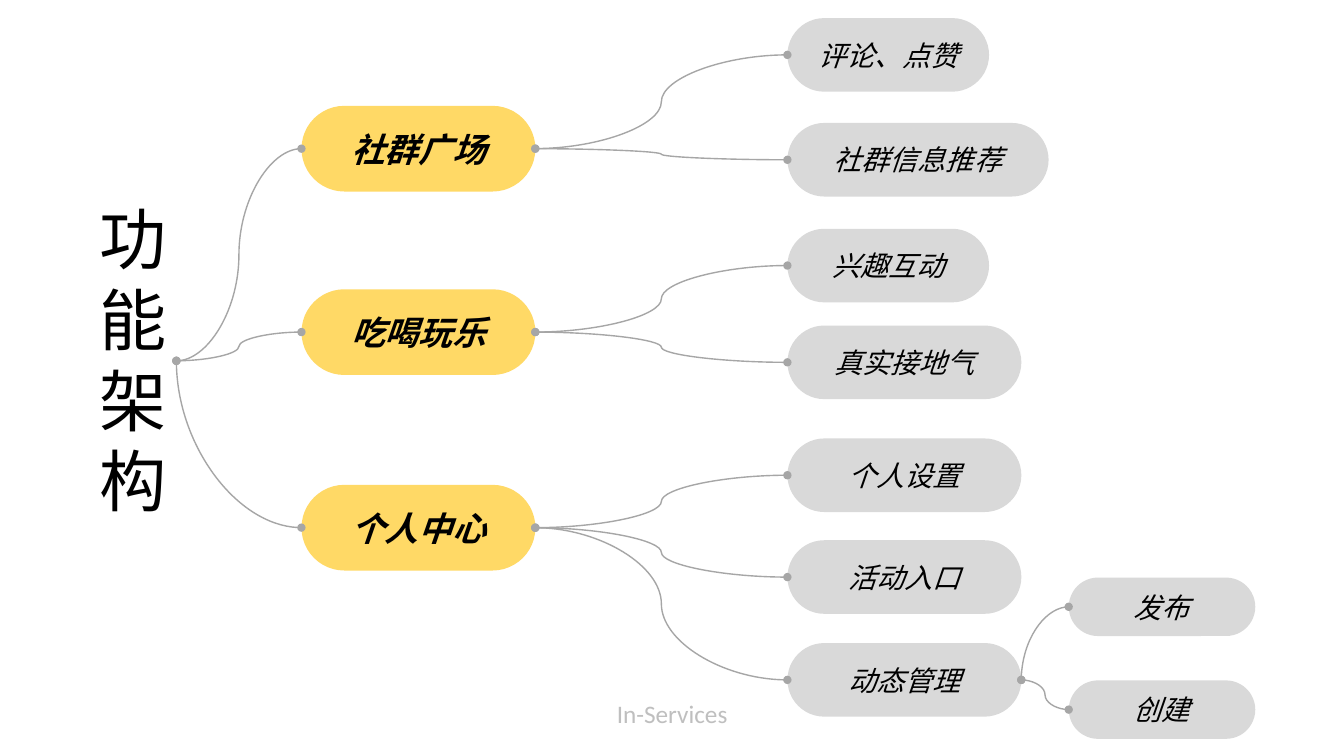
from lxml import etree
from pptx import Presentation
from pptx.dml.color import RGBColor
from pptx.enum import shapes, text
from pptx.oxml import ns
from pptx.util import Inches, Pt

COLORS = {"branch": "FFD966", "leaf": "D9D9D9", "line": "A6A6A6", "text": "000000", "footer": "BFBFBF"}
CJK = "Noto Sans CJK SC"
TITLE = "功能架构"
BRANCH_X, LEAF_X, SUB_X = 2.99, 7.81, 10.6
ROOT = (1.75, 3.58)
LEFT, RIGHT = 1, 3

BRANCHES = [
    ("社群广场", 1.05, [("评论、点赞", 0.18, 2), ("社群信息推荐", 1.22, 2.59)]),
    ("吃喝玩乐", 2.87, [("兴趣互动", 2.27, 2), ("真实接地气", 3.23, 2.32)]),
    ("个人中心", 4.81, [("个人设置", 4.35, 2.32), ("活动入口", 5.36, 2.32), ("动态管理", 6.38, 2.32)]),
]
SUBS = [("发布", 5.73), ("创建", 6.75)]


def write(p, content, size, color="text", font=CJK, bold=False, italic=False, align=text.PP_ALIGN.LEFT):
    p.alignment = align
    r = p.add_run()
    r.text = content
    r.font.size = Pt(size)
    r.font.name = font
    r.font.bold = bold
    r.font.italic = italic
    r.font.color.rgb = RGBColor.from_string(COLORS[color])
    etree.SubElement(r.font._element, ns.qn("a:ea")).set("typeface", font)


def place(sp, x, y, w, h):
    sp.left, sp.top, sp.width, sp.height = (Inches(v) for v in (x, y, w, h))


def add_title(s):
    sp = s.shapes.title
    place(sp, 0.89, 1.91, 0.87, 3.33)
    tf = sp.text_frame
    tf.word_wrap = False
    tf.auto_size = text.MSO_AUTO_SIZE.SHAPE_TO_FIT_TEXT
    tf.vertical_anchor = text.MSO_ANCHOR.TOP
    for i, char in enumerate(TITLE):
        p = tf.add_paragraph() if i else tf.paragraphs[0]
        write(p, char, 48)


def add_footer(s):
    sp = s.shapes.add_textbox(Inches(6.02), Inches(6.88), Inches(1.3), Inches(0.4))
    tf = sp.text_frame
    tf.word_wrap = False
    tf.auto_size = text.MSO_AUTO_SIZE.SHAPE_TO_FIT_TEXT
    write(tf.paragraphs[0], "In-Services", 18, color="footer", font="Calibri")


def add_pill(s, label, x, y, w, h, fill="leaf", size=20, bold=False):
    sp = s.shapes.add_shape(shapes.MSO_SHAPE.ROUNDED_RECTANGLE, Inches(x), Inches(y), Inches(w), Inches(h))
    sp.adjustments[0] = 0.5
    sp.shadow.inherit = False
    sp.fill.solid()
    sp.fill.fore_color.rgb = RGBColor.from_string(COLORS[fill])
    sp.line.fill.background()
    tf = sp.text_frame
    tf.vertical_anchor = text.MSO_ANCHOR.MIDDLE
    write(tf.paragraphs[0], label, size, bold=bold, italic=True, align=text.PP_ALIGN.CENTER)
    return sp


def add_curve(s, start, end):
    points = [Inches(v) for v in (*start, *end)]
    c = s.shapes.add_connector(shapes.MSO_CONNECTOR.CURVE, *points)
    c.line.color.rgb = RGBColor.from_string(COLORS["line"])
    c.line.width = Pt(1)
    ln = c.line._get_or_add_ln()
    for tag in ("a:headEnd", "a:tailEnd"):
        etree.SubElement(ln, ns.qn(tag)).set("type", "oval")
    etree.SubElement(c._element.spPr, ns.qn("a:effectLst"))
    return c


def add_quarter_curve(s, start, end):
    c = add_curve(s, start, end)
    c._element.spPr.find(ns.qn("a:prstGeom")).set("prst", "curvedConnector2")


def side(sp, site):
    x = sp.left + (sp.width if site == RIGHT else 0)
    return x / Inches(1), (sp.top + sp.height / 2) / Inches(1)


def join(s, parent, child):
    c = add_curve(s, side(parent, RIGHT), side(child, LEFT))
    c.begin_connect(parent, RIGHT)
    c.end_connect(child, LEFT)


def main():
    prs = Presentation()
    prs.slide_width, prs.slide_height = Inches(13.33), Inches(7.5)
    s = prs.slides.add_slide(prs.slide_layouts[5])
    add_title(s)

    branches = []
    for label, y, leaves in BRANCHES:
        branch = add_pill(s, label, BRANCH_X, y, 2.32, 0.85, fill="branch", size=24, bold=True)
        branches.append(branch)
        for leaf_label, leaf_y, leaf_w in leaves:
            leaf = add_pill(s, leaf_label, LEAF_X, leaf_y, leaf_w, 0.73)
            join(s, branch, leaf)

    for branch in branches[:2]:
        add_curve(s, ROOT, side(branch, LEFT)).end_connect(branch, LEFT)
    add_quarter_curve(s, side(branches[2], LEFT), ROOT)

    publish, create = [add_pill(s, label, SUB_X, y, 1.85, 0.58) for label, y in SUBS]
    add_quarter_curve(s, side(publish, LEFT), side(leaf, RIGHT))
    join(s, leaf, create)
    add_footer(s)
    prs.save("out.pptx")


if __name__ == "__main__":
    main()
